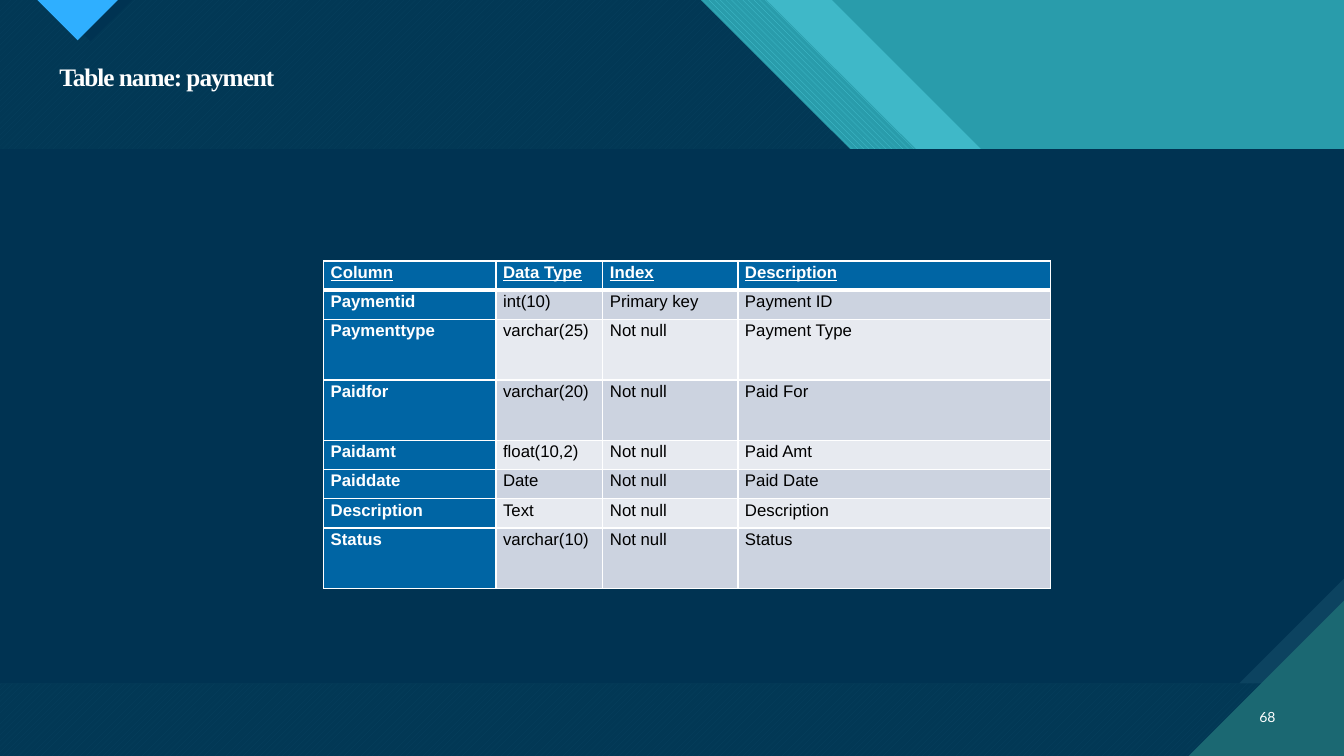
from lxml import etree
from pptx import Presentation
from pptx.dml.color import RGBColor
from pptx.enum.dml import MSO_PATTERN
from pptx.enum.text import MSO_ANCHOR, PP_ALIGN
from pptx.oxml.ns import qn
from pptx.util import Inches, Pt

UP_STRIPES = MSO_PATTERN.WIDE_UPWARD_DIAGONAL
DOWN_STRIPES = MSO_PATTERN.WIDE_DOWNWARD_DIAGONAL
TOP, MIDDLE = MSO_ANCHOR.TOP, MSO_ANCHOR.MIDDLE
LEFT, RIGHT, JUSTIFY = PP_ALIGN.LEFT, PP_ALIGN.RIGHT, PP_ALIGN.JUSTIFY

COLORS = {
    "teal": "299CAB", "aqua": "47C3D3", "deep_teal": "1B6872",
    "navy": "003352", "slate": "0C4360", "sky": "2FAFFF",
    "blue": "0065A4", "band_dark": "CCD3E0", "band_light": "E7EAF0",
    "white": "FFFFFF", "black": "000000",
}
WIDTH, HEIGHT = 13.33, 7.5
PANEL_TOP, PANEL_BOTTOM, PANEL_SNIP = 1.48, 6.78, 1.04

COLUMN_WIDTHS = [1.71, 1.06, 1.34, 3.1]
SHORT_ROW, TALL_ROW = 0.29, 0.6
HEADER = ("Column", "Data Type", "Index", "Description")
FIELDS = [
    ("Paymentid", "int(10)", "Primary key", "Payment ID"),
    ("Paymenttype", "varchar(25)", "Not null", "Payment Type"),
    ("Paidfor", "varchar(20)", "Not null", "Paid For"),
    ("Paidamt", "float(10,2)", "Not null", "Paid Amt"),
    ("Paiddate", "Date", "Not null", "Paid Date"),
    ("Description", "Text", "Not null", "Description"),
    ("Status", "varchar(10)", "Not null", "Status"),
]
TALL_FIELDS = {"Paymenttype", "Paidfor", "Status"}


def rgb(name):
    return RGBColor.from_string(COLORS[name])


def write_text(frame, text, font="Arial", size=12, color="white", bold=False,
               underline=False, align=LEFT, line_spacing=1.0, tracking=None):
    paragraph = frame.paragraphs[0]
    paragraph.alignment = align
    paragraph.line_spacing = line_spacing
    run = paragraph.add_run()
    run.text = text
    run.font.name = font
    run.font.size = Pt(size)
    run.font.bold = bold
    run.font.underline = underline
    run.font.color.rgb = rgb(color)
    if tracking is not None:
        run.font._element.set("spc", str(round(tracking * 100)))


class SlideBuilder:
    def __init__(self, presentation):
        self.slide = presentation.slides.add_slide(presentation.slide_layouts[6])

    def background(self, color):
        fill = self.slide.background.fill
        fill.solid()
        fill.fore_color.rgb = rgb(color)

    def polygon(self, points, color, pattern=None, back=None, opacity=None):
        corners = [(Inches(x), Inches(y)) for x, y in points]
        builder = self.slide.shapes.build_freeform(*corners[0], scale=1.0)
        builder.add_line_segments(corners[1:], close=True)
        shape = builder.convert_to_shape()
        shape.shadow.inherit = False
        shape.line.fill.background()
        if pattern is None:
            shape.fill.solid()
        else:
            shape.fill.patterned()
            shape.fill.pattern = pattern
            shape.fill.back_color.rgb = rgb(back)
        shape.fill.fore_color.rgb = rgb(color)
        if opacity is not None:
            color_node = shape._element.spPr.find(qn("a:solidFill"))[0]
            alpha = etree.SubElement(color_node, qn("a:alpha"))
            alpha.set("val", str(opacity * 1000))

    def text(self, left, top, width, height, text, anchor=TOP, **style):
        box = self.slide.shapes.add_textbox(
            Inches(left), Inches(top), Inches(width), Inches(height))
        frame = box.text_frame
        frame.word_wrap = True
        frame.vertical_anchor = anchor
        write_text(frame, text, **style)

    def table(self, left, top, widths, heights):
        frame = self.slide.shapes.add_table(
            len(heights), len(widths), Inches(left), Inches(top),
            Inches(sum(widths)), Inches(sum(heights)))
        table = frame.table
        table.horz_banding = False
        for column, width in zip(table.columns, widths):
            column.width = Inches(width)
        for row, height in zip(table.rows, heights):
            row.height = Inches(height)
        return table

    def cell(self, cell, text, fill, borders, **style):
        cell.margin_left = cell.margin_right = Inches(0.07)
        cell.margin_top = cell.margin_bottom = 0
        cell.vertical_anchor = TOP
        write_text(cell.text_frame, text, align=JUSTIFY, line_spacing=1.1, **style)
        cell.fill.solid()
        cell.fill.fore_color.rgb = rgb(fill)
        properties = cell._tc.get_or_add_tcPr()
        for index, (side, points) in enumerate(borders.items()):
            line = etree.Element(qn(f"a:ln{side}"), w=str(Pt(points)))
            solid = etree.SubElement(line, qn("a:solidFill"))
            etree.SubElement(solid, qn("a:srgbClr"), val=COLORS["white"])
            properties.insert(index, line)


def stepped_area(top_x, elbow_x, step_x, edge_y, elbow_y=2.97):
    return [(0, 0), (top_x, 0), (elbow_x, elbow_y), (step_x, elbow_y),
            (WIDTH, edge_y), (WIDTH, HEIGHT), (0, HEIGHT)]


def main():
    presentation = Presentation()
    presentation.slide_width = Inches(WIDTH)
    presentation.slide_height = Inches(HEIGHT)
    builder = SlideBuilder(presentation)

    # Layered diagonal backdrop
    builder.background("teal")
    builder.polygon(stepped_area(8.25, 11.22, 12.34, 3.96), "aqua", opacity=74)
    builder.polygon(stepped_area(7.6, 10.58, 11.84, 4.47), "aqua",
                    pattern=DOWN_STRIPES, back="teal")
    header_area = stepped_area(6.95, 9.92, 11.18, 5.12)
    builder.polygon(header_area, "aqua", pattern=UP_STRIPES, back="deep_teal")
    builder.polygon(header_area, "navy", opacity=90)

    # Top marker and its dark side
    builder.polygon([(0.48, 0), (0.9, 0.41), (1.31, 0)], "navy")
    builder.polygon([(0.37, 0), (0.77, 0.4), (1.17, 0)], "sky")

    # Content panel with a cut corner
    for color, snip in (("slate", 0), ("navy", PANEL_SNIP)):
        builder.polygon([(0, PANEL_TOP), (WIDTH, PANEL_TOP),
                         (WIDTH, PANEL_BOTTOM - snip),
                         (WIDTH - snip, PANEL_BOTTOM), (0, PANEL_BOTTOM)], color)
    builder.polygon([(11.79, HEIGHT), (WIDTH, HEIGHT), (WIDTH, 5.96)], "deep_teal")

    # Title and page number
    builder.text(0.49, 0.59, 12.26, 0.86, "Table name: payment",
                 font="Times New Roman", size=18, bold=True,
                 line_spacing=0.9, tracking=-0.7)
    builder.text(12.31, 6.91, 0.44, 0.4, "68", anchor=MIDDLE,
                 font="Lato", size=10, align=RIGHT)

    # Payment columns table
    rows = [HEADER] + FIELDS
    heights = [TALL_ROW if row[0] in TALL_FIELDS else SHORT_ROW for row in rows]
    table = builder.table(3.21, 2.59, COLUMN_WIDTHS, heights)
    for row_index, row in enumerate(rows):
        is_header = row_index == 0
        band = "band_dark" if row_index % 2 else "band_light"
        borders = {"L": 1, "R": 1, "T": 3 if row_index == 1 else 1,
                   "B": 3 if is_header else 1}
        for column_index, text in enumerate(row):
            strong = is_header or column_index == 0
            builder.cell(table.cell(row_index, column_index), text,
                         "blue" if strong else band, borders, bold=strong,
                         color="white" if strong else "black",
                         underline=is_header)

    presentation.save("out.pptx")


if __name__ == "__main__":
    main()
